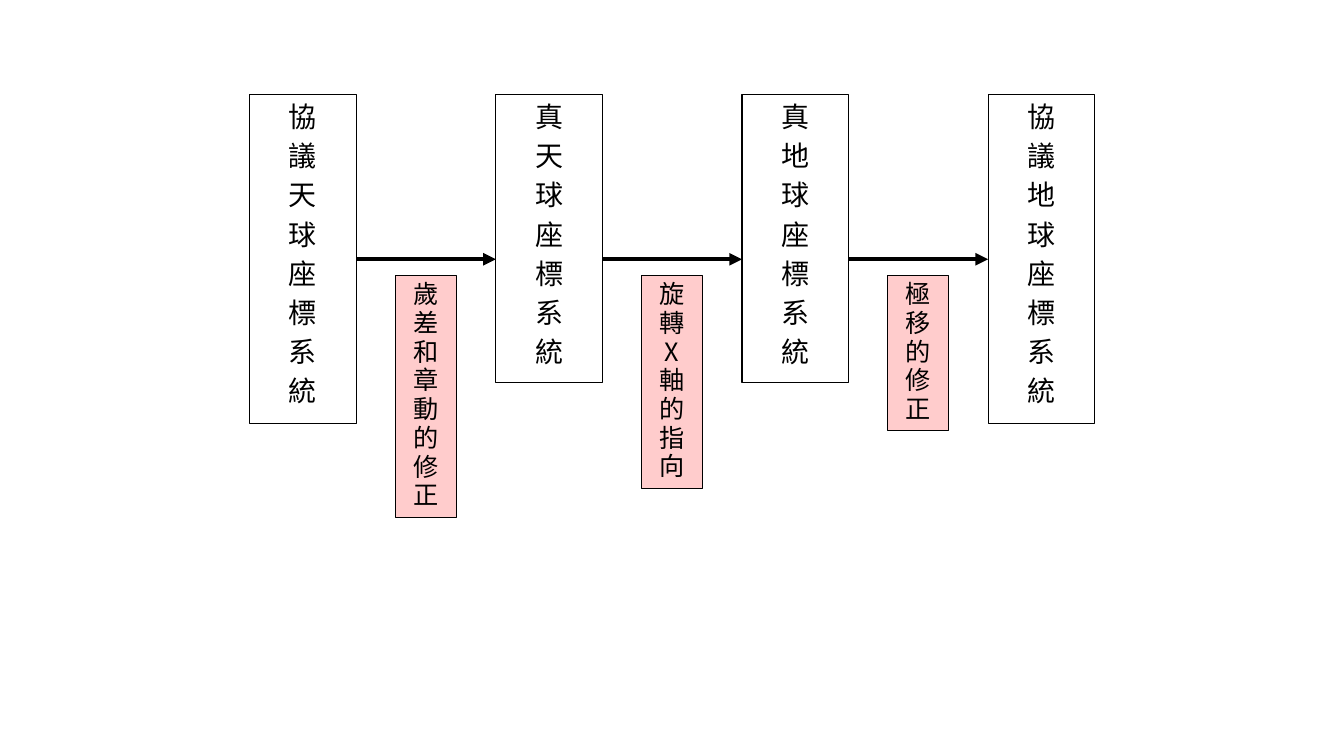
from dataclasses import dataclass

from lxml import etree
from pptx import Presentation
from pptx.dml.color import RGBColor
from pptx.enum import shapes, text
from pptx.oxml.ns import qn
from pptx.util import Length, Pt

BLACK = RGBColor(0x00, 0x00, 0x00)
WHITE = RGBColor(0xFF, 0xFF, 0xFF)
PINK = RGBColor(0xFF, 0xCC, 0xCC)
FONT = "Noto Sans CJK TC"

SYSTEM_LEFT = Pt(178.4)
SYSTEM_TOP = Pt(67.5)
SYSTEM_WIDTH = Pt(76)
SYSTEM_PITCH = Pt(175.8)
ARROW_Y = Pt(185.2)
CORRECTION_TOP = Pt(196.6)
CORRECTION_WIDTH = Pt(43.2)


@dataclass(frozen=True)
class System:
    label: str
    height: Length


@dataclass(frozen=True)
class Correction:
    label: str
    height: Length


SYSTEMS = [
    System("協議天球座標系統", Pt(235)),
    System("真天球座標系統", Pt(206)),
    System("真地球座標系統", Pt(206)),
    System("協議地球座標系統", Pt(235)),
]
CORRECTIONS = [
    Correction("歲差和章動的修正", Pt(173)),
    Correction("旋轉X軸的指向", Pt(152.4)),
    Correction("極移的修正", Pt(111)),
]


def add_vertical_text(tf, label: str, *, size: Length, line_spacing: Length,
                      space_before: Length = Pt(0)) -> None:
    tf.word_wrap = True
    tf.vertical_anchor = text.MSO_ANCHOR.TOP
    for i, char in enumerate(label):
        p = tf.paragraphs[0] if i == 0 else tf.add_paragraph()
        p.alignment = text.PP_ALIGN.CENTER
        p.line_spacing = line_spacing
        p.space_before = space_before
        r = p.add_run()
        r.text = char
        r.font.size = size
        r.font.name = FONT
        r.font.color.rgb = BLACK
        ea = etree.SubElement(r.font._element, qn("a:ea"))
        ea.set("typeface", FONT)


def add_box(s, left: Length, top: Length, width: Length, height: Length,
            fill: RGBColor):
    sp = s.shapes.add_shape(shapes.MSO_SHAPE.RECTANGLE, left, top, width, height)
    sp.shadow.inherit = False
    sp.fill.solid()
    sp.fill.fore_color.rgb = fill
    sp.line.color.rgb = BLACK
    sp.line.width = Pt(0.75)
    return sp.text_frame


def add_arrow(s, start: Length, end: Length, y: Length) -> None:
    cxn = s.shapes.add_connector(shapes.MSO_CONNECTOR.STRAIGHT, start, y, end, y)
    cxn.line.color.rgb = BLACK
    cxn.line.width = Pt(3)
    tail = etree.SubElement(cxn.line._get_or_add_ln(), qn("a:tailEnd"))
    tail.set("type", "triangle")
    etree.SubElement(cxn._element.spPr, qn("a:effectLst"))


def main() -> None:
    prs = Presentation()
    prs.slide_width, prs.slide_height = Pt(960), Pt(540)
    s = prs.slides.add_slide(prs.slide_layouts[6])

    for i, system in enumerate(SYSTEMS):
        left = SYSTEM_LEFT + i * SYSTEM_PITCH
        tf = add_box(s, left, SYSTEM_TOP, SYSTEM_WIDTH, system.height, WHITE)
        add_vertical_text(tf, system.label, size=Pt(20), line_spacing=Pt(24),
                          space_before=Pt(4))

    for i, correction in enumerate(CORRECTIONS):
        start = SYSTEM_LEFT + SYSTEM_WIDTH + i * SYSTEM_PITCH
        end = SYSTEM_LEFT + (i + 1) * SYSTEM_PITCH
        add_arrow(s, start, end, ARROW_Y)
        left = (start + end - CORRECTION_WIDTH) // 2
        tf = add_box(s, left, CORRECTION_TOP, CORRECTION_WIDTH,
                     correction.height, PINK)
        add_vertical_text(tf, correction.label, size=Pt(18),
                          line_spacing=Pt(20.5))

    prs.save("out.pptx")


main()
